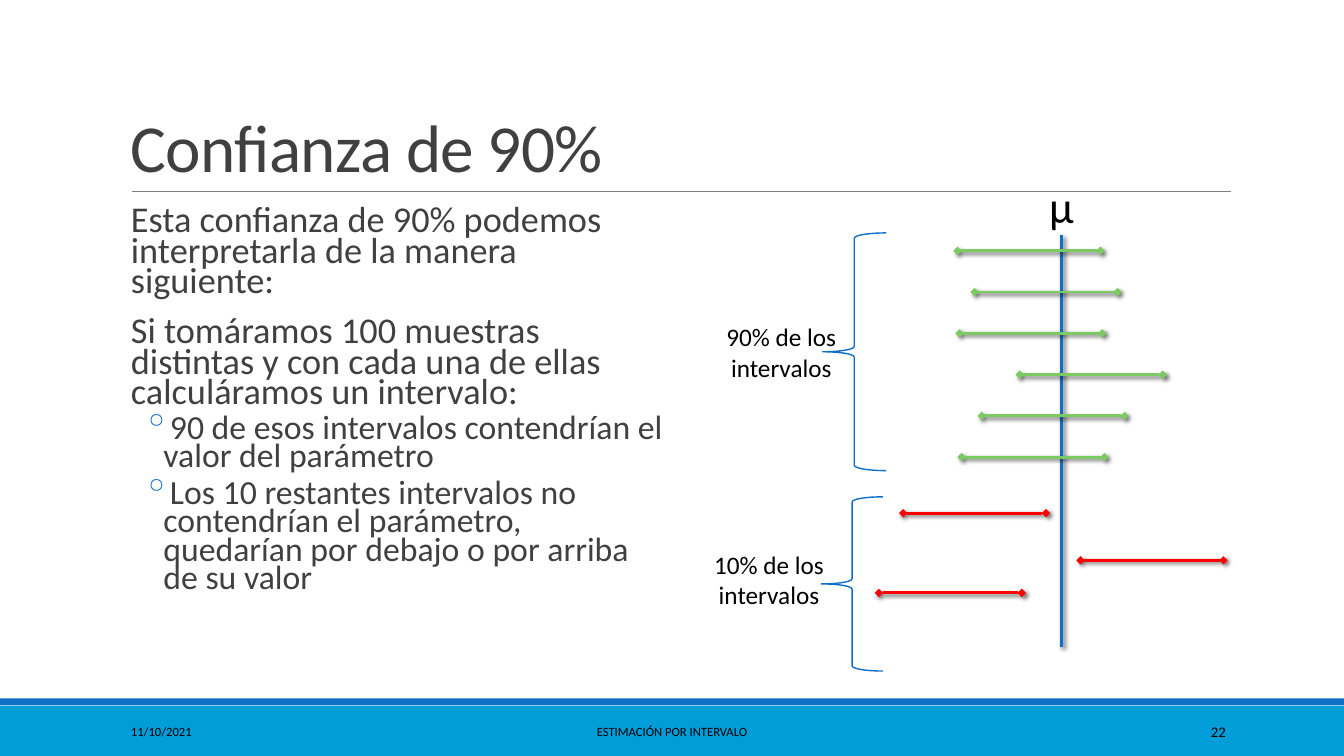
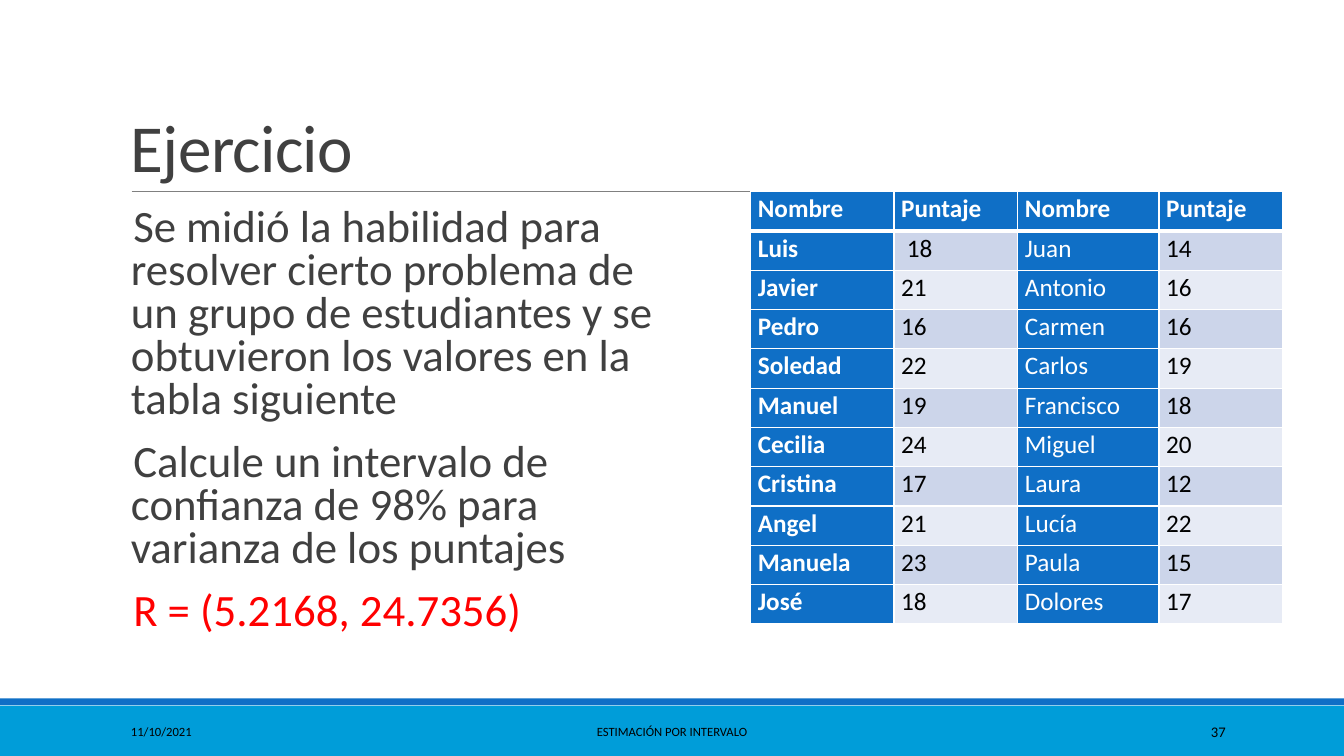
from dataclasses import dataclass

from lxml import etree
from pptx import Presentation
from pptx.dml.color import RGBColor
from pptx.enum import shapes, text
from pptx.oxml import ns
from pptx.util import Cm, Pt


@dataclass(frozen=True)
class Theme:
    font: str = "Calibri"
    blue: str = "0F6FC6"
    cyan: str = "009DD9"
    green: str = "7CCA62"
    red: str = "FF0000"
    rule: str = "808080"
    ink: str = "404040"
    black: str = "000000"
    white: str = "FFFFFF"
    rows: tuple = ("CCD5EA", "E7EBF5")
    title: float = 48
    symbol: float = 32
    exercise: float = 32
    body: float = 25.9
    bullet: float = 24.1
    label: float = 18
    footer: float = 9
    number: float = 10.5


T = Theme()
LEFT, CENTER, RIGHT = text.PP_ALIGN.LEFT, text.PP_ALIGN.CENTER, text.PP_ALIGN.RIGHT
TOP, MIDDLE, BOTTOM = (text.MSO_ANCHOR.TOP, text.MSO_ANCHOR.MIDDLE,
                       text.MSO_ANCHOR.BOTTOM)
WIDTH, HEIGHT = 33.87, 19.05

# Content; all positions and lengths are in centimetres
DATE, FOOTER = "11/10/2021", "ESTIMACIÓN POR INTERVALO"

CONFIDENCE = [  # text, is a bullet
    ("Esta confianza de 90% podemos interpretarla de la manera siguiente:", False),
    ("Si tomáramos 100 muestras distintas y con cada una de ellas "
     "calculáramos un intervalo:", False),
    ("90 de esos intervalos contendrían el valor del parámetro", True),
    ("Los 10 restantes intervalos no contendrían el parámetro, quedarían "
     "por debajo o por arriba de su valor", True),
]
EXERCISE = [  # text, colour
    ("Se midió la habilidad para resolver cierto problema de un grupo de "
     "estudiantes y se obtuvieron los valores en la tabla siguiente", T.ink),
    ("Calcule un intervalo de confianza de 98% para varianza de los puntajes", T.ink),
    ("R = (5.2168, 24.7356)", T.red),
]

INTERVAL_LENGTH = 3.6
HITS_TOP, HITS_STEP = 6.32, 1.04
HITS = [24.13, 24.56, 24.18, 25.7, 24.74, 24.23]  # left ends
MISSES = [(22.76, 12.93), (27.23, 14.12), (22.15, 14.94)]  # left end, height
GROUPS = [  # label, label box, brace box
    ("90% de los intervalos", (17.58, 7.98, 4.22, 1.8), (20.73, 5.87, 1.6, 5.99)),
    ("10% de los intervalos", (17.27, 13.72, 4.22, 1.8), (20.7, 12.52, 1.55, 4.39)),
]

SCORES = [
    ("Nombre", "Puntaje", "Nombre", "Puntaje"),
    ("Luis", " 18", "Juan", "14"),
    ("Javier", "21", "Antonio", "16"),
    ("Pedro", "16", "Carmen", "16"),
    ("Soledad", "22", "Carlos", "19"),
    ("Manuel", "19", "Francisco", "18"),
    ("Cecilia", "24", "Miguel", "20"),
    ("Cristina", "17", "Laura", "12"),
    ("Angel", "21", "Lucía", "22"),
    ("Manuela", "23", "Paula", "15"),
    ("José", "18", "Dolores", "17"),
]
COLUMNS, ROW_HEIGHT = (3.61, 3.12, 3.56, 3.12), 0.99
TABLE_LEFT, TABLE_TOP = 18.92, 4.83


# Helpers
def rgb(color):
    return RGBColor.from_string(color)


def sub(parent, tag, **attrs):
    return etree.SubElement(parent, ns.qn(tag), attrs)


def add_run(p, words, size, color, bold=False):
    r = p.add_run()
    r.text = words
    r.font.name, r.font.size, r.font.bold = T.font, Pt(size), bold
    r.font.color.rgb = rgb(color)
    return r


def add_frame(s, box, anchor=TOP, side=0.25):
    tf = s.shapes.add_textbox(*map(Cm, box)).text_frame
    tf.word_wrap, tf.vertical_anchor = True, anchor
    tf.margin_left = tf.margin_right = Cm(side)
    return tf


def add_text(s, words, box, size, color=T.black, align=LEFT, anchor=TOP):
    p = add_frame(s, box, anchor).paragraphs[0]
    p.alignment = align
    return p, add_run(p, words, size, color)


def add_box(s, kind, box, fill=None, line=None):
    sp = s.shapes.add_shape(kind, *map(Cm, box))
    sp.shadow.inherit = False
    if fill:
        sp.fill.solid()
        sp.fill.fore_color.rgb = rgb(fill)
    else:
        sp.fill.background()
    if line:
        sp.line.color.rgb, sp.line.width = rgb(line), Pt(1)
    else:
        sp.line.fill.background()


def add_line(s, x1, y1, x2, y2, color, width, ends=None, shadow=False):
    c = s.shapes.add_connector(shapes.MSO_CONNECTOR.STRAIGHT,
                               *map(Cm, (x1, y1, x2, y2)))
    c.line.color.rgb, c.line.width = rgb(color), Pt(width)
    if ends:
        for tag in ("a:headEnd", "a:tailEnd"):
            sub(c.line._get_or_add_ln(), tag, type=ends)
    effects = sub(c._element.spPr, "a:effectLst")
    if shadow:
        outer = sub(effects, "a:outerShdw", blurRad=str(Pt(3)), dist=str(Pt(2)),
                    dir="2700000", algn="tl", rotWithShape="0")
        sub(sub(outer, "a:srgbClr", val=T.black), "a:alpha", val="60000")


def add_paragraph(tf, words, size, color, spacing, first, indent=0, bullet=False):
    p = tf.paragraphs[0] if first else tf.add_paragraph()
    pPr = p._p.get_or_add_pPr()
    margin, hang = (1.07, -0.51) if bullet else (0.25, indent)
    pPr.set("marL", str(Cm(margin)))
    pPr.set("indent", str(Cm(hang)))
    if bullet:
        sub(sub(pPr, "a:buClr"), "a:srgbClr", val=T.blue)
        sub(pPr, "a:buChar", char="◦")
    before, after = (2, 4) if bullet else (12, 2)
    p.line_spacing, p.space_after = spacing, Pt(after)
    p.space_before = Pt(0 if first else before)
    add_run(p, words, size, color)


def add_body(s):
    return add_frame(s, (3.05, 5.13, 13.72, 11.18), side=0)


def add_slide(prs, title, number):
    """Slide with the shared bands, rule, title and footer."""
    s = prs.slides.add_slide(prs.slide_layouts[6])
    rect = shapes.MSO_SHAPE.RECTANGLE
    add_box(s, rect, (0, 17.78, WIDTH, 1.27), T.cyan)
    add_box(s, rect, (0, 17.6, WIDTH, 0.17), T.blue)
    add_line(s, 3.32, 4.83, 31.01, 4.83, T.rule, 0.5)
    p, r = add_text(s, title, (3.05, 0.79, 27.94, 4.04), T.title, T.ink,
                    anchor=BOTTOM)
    p.line_spacing = 0.85
    r.font._element.set("spc", "-50")
    for words, left, width, size, align in (
            (DATE, 3.05, 6.86, T.footer, LEFT),
            (FOOTER, 10.24, 13.39, T.footer, CENTER),
            (number, 27.51, 3.63, T.number, RIGHT)):
        add_text(s, words, (left, 17.93, width, 1.02), size, align=align,
                 anchor=MIDDLE)
    return s


def style_cell(cell, words, row, col):
    header, name = row == 0, col % 2 == 0
    tcPr = cell._tc.get_or_add_tcPr()
    for side in "LRTB":
        heavy = (row, side) in ((0, "B"), (1, "T"))
        ln = sub(tcPr, f"a:ln{side}", w=str(Pt(3 if heavy else 1)))
        sub(sub(ln, "a:solidFill"), "a:srgbClr", val=T.white)
    dark = header or name
    cell.fill.solid()
    cell.fill.fore_color.rgb = rgb(T.blue if dark else T.rows[(row - 1) % 2])
    cell.margin_left = cell.margin_right = Cm(0.18)
    cell.margin_top = cell.margin_bottom = 0
    p = cell.text_frame.paragraphs[0]
    p.line_spacing = 1.07
    add_run(p, words, T.label, T.white if dark else T.black, header or col == 0)


# Slides
def confidence_slide(prs):
    s = add_slide(prs, "Confianza de 90%", "22")
    tf = add_body(s)
    for i, (words, bullet) in enumerate(CONFIDENCE):
        add_paragraph(tf, words, T.bullet if bullet else T.body, T.ink, 0.7,
                      i == 0, bullet=bullet)

    # True mean and the intervals around it
    add_line(s, 26.75, 5.92, 26.75, 16.31, T.blue, 2, shadow=True)
    add_text(s, "μ", (25.15, 4.37, 3.2, 1.63), T.symbol, align=CENTER)
    hits = [(x, HITS_TOP + i * HITS_STEP, T.green) for i, x in enumerate(HITS)]
    misses = [(x, y, T.red) for x, y in MISSES]
    for x, y, color in hits + misses:
        add_line(s, x, y, x + INTERVAL_LENGTH, y, color, 2, "diamond", True)

    # Braces and their labels
    for words, label, brace in GROUPS:
        add_box(s, shapes.MSO_SHAPE.LEFT_BRACE, brace, line=T.blue)
        add_text(s, words, label, T.label, align=CENTER)


def exercise_slide(prs):
    s = add_slide(prs, "Ejercicio", "37")
    tf = add_body(s)
    for i, (words, color) in enumerate(EXERCISE):
        add_paragraph(tf, words, T.exercise, color, 0.8, i == 0, indent=0.06)

    # Score table
    size = (sum(COLUMNS), ROW_HEIGHT * len(SCORES))
    table = s.shapes.add_table(len(SCORES), len(COLUMNS),
                               *map(Cm, (TABLE_LEFT, TABLE_TOP, *size))).table
    table.first_row = table.horz_banding = False
    for column, width in zip(table.columns, COLUMNS):
        column.width = Cm(width)
    for i, values in enumerate(SCORES):
        table.rows[i].height = Cm(ROW_HEIGHT)
        for j, words in enumerate(values):
            style_cell(table.cell(i, j), words, i, j)


def main():
    prs = Presentation()
    prs.slide_width, prs.slide_height = Cm(WIDTH), Cm(HEIGHT)
    confidence_slide(prs)
    exercise_slide(prs)
    prs.save("out.pptx")


if __name__ == "__main__":
    main()
